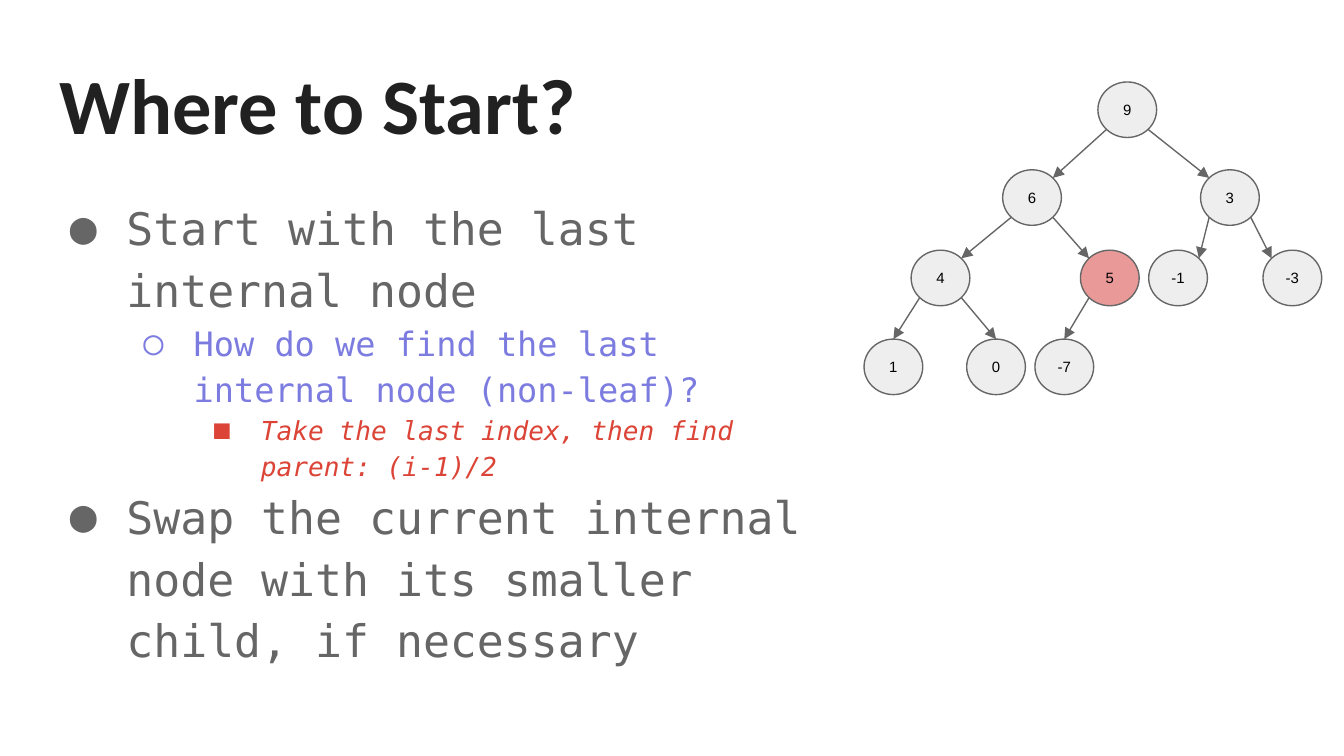
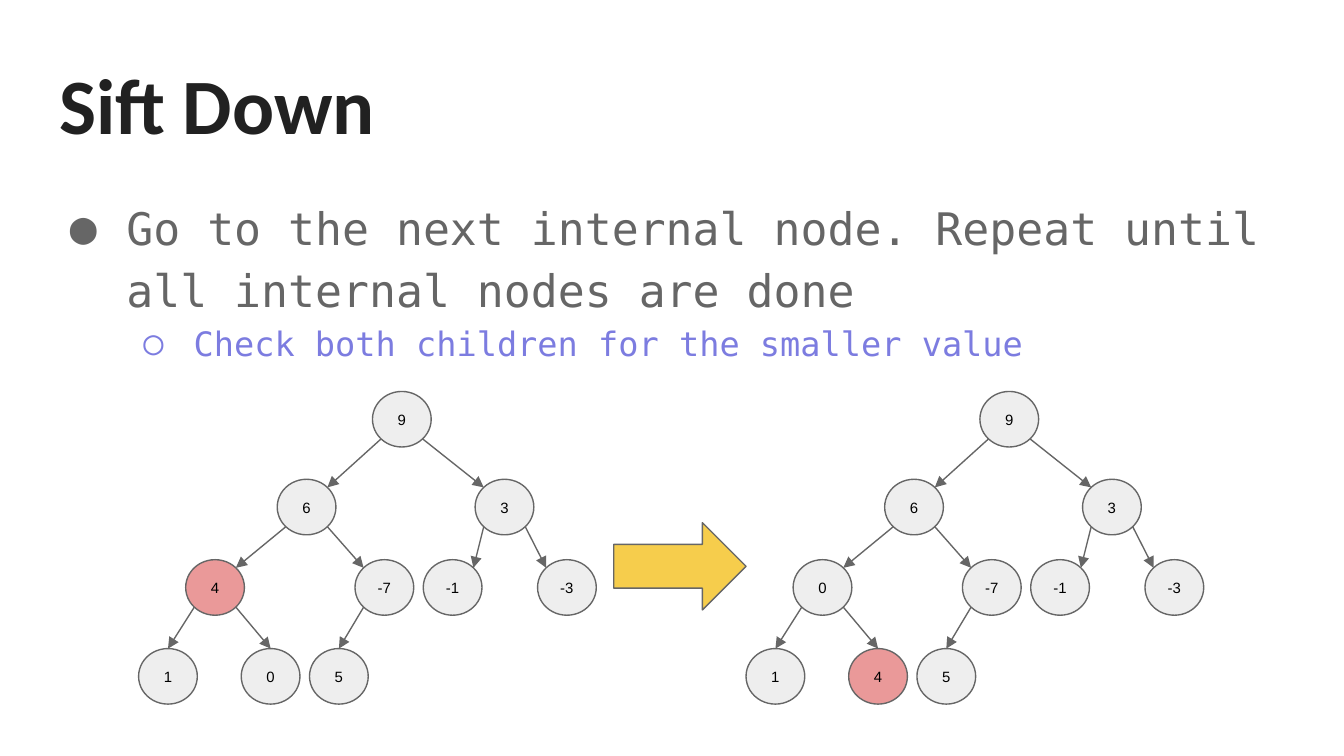
import math
import pptx
import pptx.util
import pptx.dml.color
import pptx.enum.shapes
import pptx.enum.text
import pptx.oxml
import pptx.oxml.ns
import lxml.etree

Cm, Pt = pptx.util.Cm, pptx.util.Pt
SHAPE = pptx.enum.shapes.MSO_SHAPE
QN = pptx.oxml.ns.qn

HUES = {"title": "212121", "gray": "666666", "blue": "7C7CE0", "red": "DB4437",
        "node": "EEEEEE", "mark": "EA9999", "arrow": "F6CD4C", "ink": "000000"}
HEAD, MONO, SANS = "Calibri", "DejaVu Sans Mono", "Arial"

# Bullet levels: sign, colour, size, left margin, hanging indent, italic
LEVELS = [("●", "gray", 24, 1.27, 1.07, False),
          ("○", "blue", 18, 2.54, 0.95, False),
          ("■", "red", 14, 3.81, 0.88, True)]

# Shared boxes: left, top, width, height
TITLE = (0.87, 0.82, 23.67, 2.23)
LEFT, TOP = 0.87, 3.4

# Tree spots in level order, with the parent of spot i at (i - 1) // 2
WIDE, HIGH = 1.11, 1.05
COLS = [4.42, 2.62, 6.36, 0.89, 4.09, 5.38, 7.54, 0, 1.94, 3.23]
ROWS = [0, 1.66, 3.18, 4.86]


def color(name):
    return pptx.dml.color.RGBColor.from_string(HUES[name])


def write(para, text, font, size, hue, bold=False, slant=False):
    run = para.add_run()
    run.text = text
    run.font.name, run.font.size = font, Pt(size)
    run.font.bold, run.font.italic = bold, slant
    run.font.color.rgb = color(hue)


def paint(shape, hue):
    shape.shadow.inherit = False
    shape.fill.solid()
    shape.fill.fore_color.rgb = color(hue)
    shape.line.color.rgb = color("gray")
    shape.line.width = Pt(0.75)


def pad(frame):
    frame.margin_left = frame.margin_right = Cm(0.25)
    frame.margin_top = frame.margin_bottom = Cm(0.25)


def panel(slide, box):
    frame = slide.shapes.add_textbox(*map(Cm, box)).text_frame
    frame.word_wrap = True
    pad(frame)
    return frame


def title(slide, text):
    write(panel(slide, TITLE).paragraphs[0], text, HEAD, 42, "title", bold=True)


def bullets(slide, box, items):
    frame = panel(slide, box)
    for i, (level, text) in enumerate(items):
        sign, hue, size, left, hang, slant = LEVELS[level]
        para = frame.add_paragraph() if i else frame.paragraphs[0]
        para.level, para.line_spacing = level, 1.15
        # Bullet sign, colour and hanging indent
        props = para._p.get_or_add_pPr()
        props.set("marL", str(Cm(left)))
        props.set("indent", str(-Cm(hang)))
        tint = lxml.etree.SubElement(props, QN("a:buClr"))
        lxml.etree.SubElement(tint, QN("a:srgbClr"), val=HUES[hue])
        lxml.etree.SubElement(props, QN("a:buFont"), typeface=MONO)
        lxml.etree.SubElement(props, QN("a:buChar"), char=sign)
        write(para, text, MONO, size, hue, slant=slant)


def edge(group, start, end):
    line = group.shapes.add_connector(
        pptx.enum.shapes.MSO_CONNECTOR.STRAIGHT, *map(Cm, start + end))
    line.line.color.rgb = color("gray")
    line.line.width = Pt(0.75)
    lxml.etree.SubElement(line.line._get_or_add_ln(), QN("a:tailEnd"), type="triangle")
    lxml.etree.SubElement(line._element.spPr, QN("a:effectLst"))


def tree(slide, left, top, values, mark):
    group = slide.shapes.add_group_shape()
    depth = [int(math.log2(i + 1)) for i in range(len(values))]
    spots = [(left + COLS[i], top + ROWS[depth[i]]) for i in range(len(values))]

    def rim(i, across, down):
        # Point on the oval: across and down run from -1 to 1
        x, y = spots[i]
        return x + WIDE / 2 * (1 + across), y + HIGH / 2 * (1 + down)

    # Nodes
    for i, value in enumerate(values):
        node = group.shapes.add_shape(
            SHAPE.OVAL, *map(Cm, spots[i] + (WIDE, HIGH)))
        paint(node, "mark" if i == mark else "node")
        frame = node.text_frame
        frame.word_wrap = False
        pad(frame)
        frame.vertical_anchor = pptx.enum.text.MSO_ANCHOR.MIDDLE
        para = frame.paragraphs[0]
        para.alignment = pptx.enum.text.PP_ALIGN.CENTER
        write(para, str(value), SANS, 8, "ink")

    # Edges leave at the lower diagonal; the last row is met at its top
    diag = math.sqrt(0.5)
    for i in range(1, len(values)):
        side = -diag if i % 2 else diag
        goal = rim(i, 0, -1) if depth[i] == 3 else rim(i, -side, -diag)
        edge(group, rim((i - 1) // 2, side, diag), goal)


def start(slide):
    title(slide, "Where to Start?")
    bullets(slide, (LEFT, TOP, 15.24, 9.27), [
        (0, "Start with the last internal node"),
        (1, "How do we find the last internal node (non-leaf)?"),
        (2, "Take the last index, then find parent: (i-1)/2"),
        (0, "Swap the current internal node with its smaller child, if necessary")])
    tree(slide, 16.33, 1.55, [9, 6, 3, 4, 5, -1, -3, 1, 0, -7], 4)


def sift(slide):
    title(slide, "Sift Down")
    bullets(slide, (LEFT, TOP, 23.67, 3.86), [
        (0, "Go to the next internal node. Repeat until all internal nodes are done"),
        (1, "Check both children for the smaller value")])
    # Before and after the swap
    tree(slide, 2.62, 7.4, [9, 6, 3, 4, -7, -1, -3, 1, 0, 5], 3)
    tree(slide, 14.1, 7.4, [9, 6, 3, 0, -7, -1, -3, 1, 4, 5], 8)
    arrow = slide.shapes.add_shape(
        SHAPE.RIGHT_ARROW, Cm(11.6), Cm(9.88), Cm(2.5), Cm(1.65))
    paint(arrow, "arrow")


def main():
    deck = pptx.Presentation()
    deck.slide_width, deck.slide_height = Cm(25.4), Cm(14.29)
    for build in (start, sift):
        build(deck.slides.add_slide(deck.slide_layouts[6]))
    deck.save("out.pptx")


if __name__ == "__main__":
    main()
